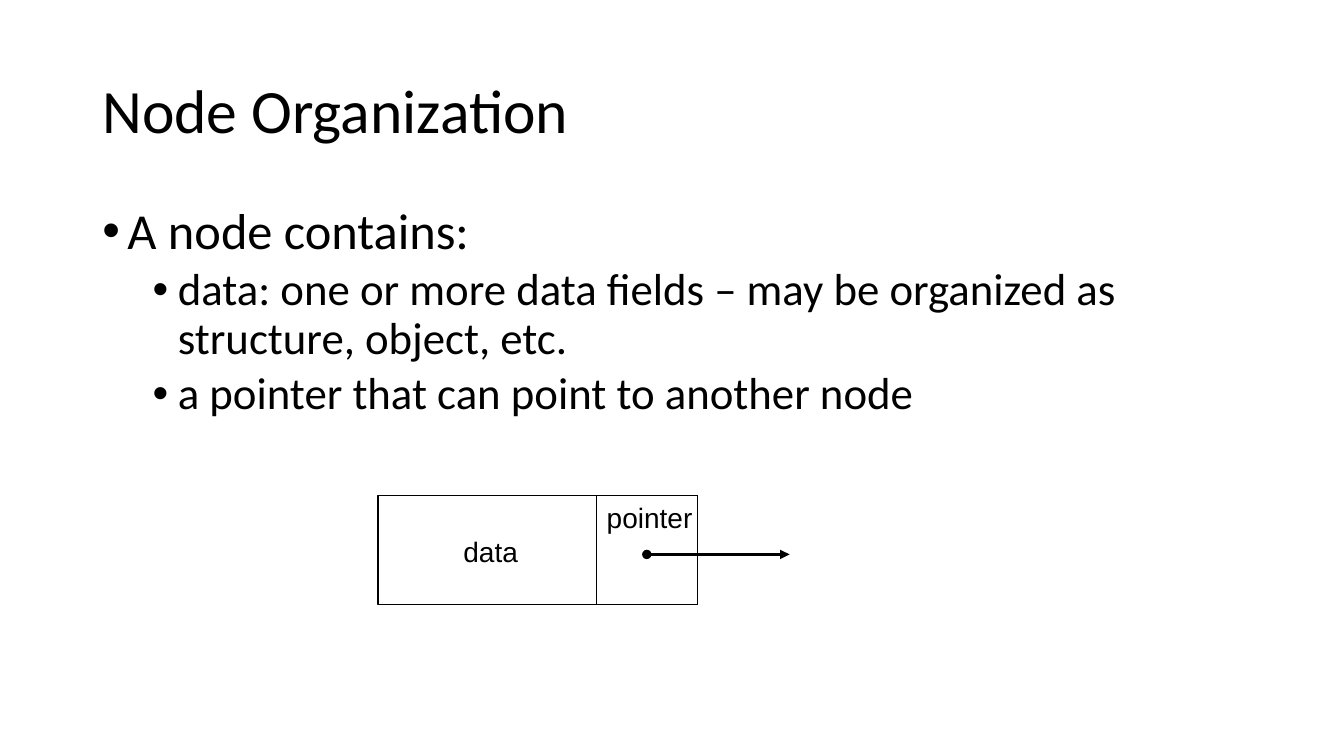
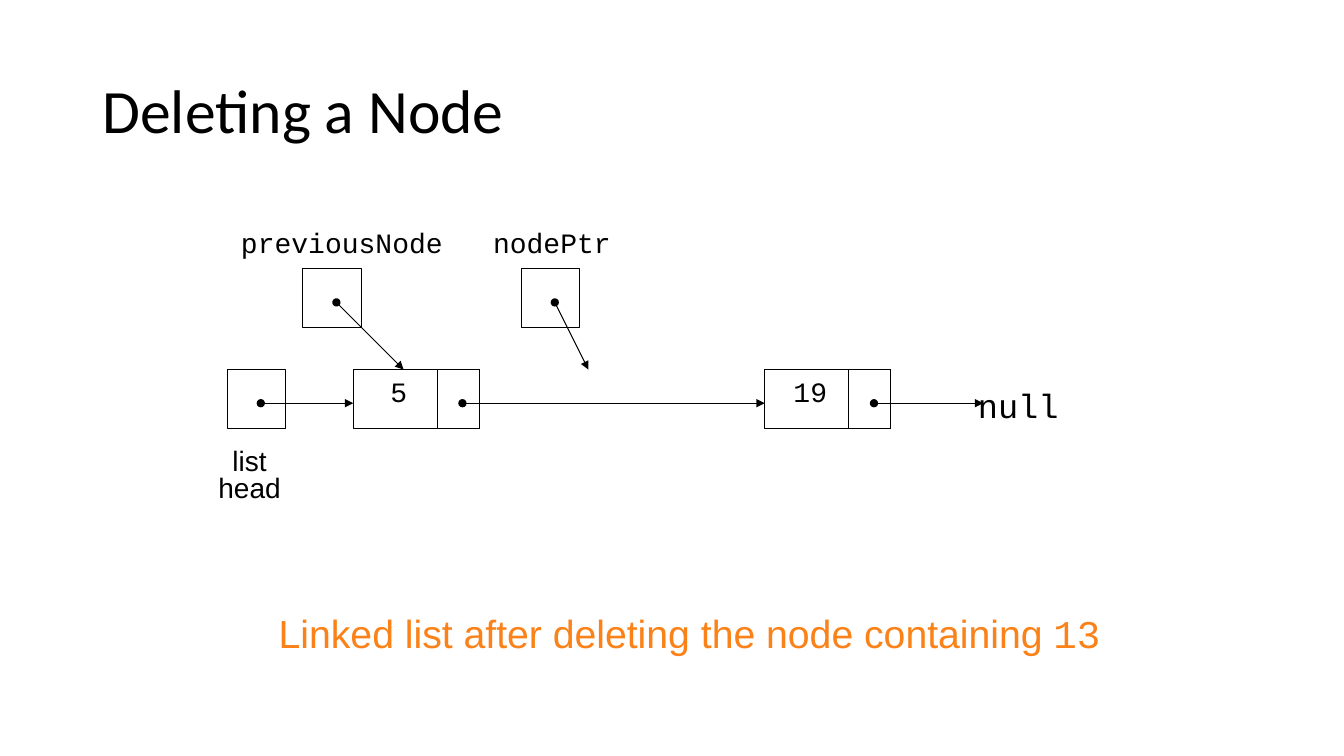
from dataclasses import dataclass

from lxml import etree
from pptx import Presentation
from pptx.dml.color import RGBColor
from pptx.enum.shapes import MSO_CONNECTOR, MSO_SHAPE
from pptx.enum.text import MSO_ANCHOR, MSO_AUTO_SIZE, PP_ALIGN
from pptx.oxml.ns import qn
from pptx.util import Pt

RECT = MSO_SHAPE.RECTANGLE
STRAIGHT = MSO_CONNECTOR.STRAIGHT
LEFT, CENTER = PP_ALIGN.LEFT, PP_ALIGN.CENTER
MIDDLE = MSO_ANCHOR.MIDDLE
NO_FIT, GROW = MSO_AUTO_SIZE.NONE, MSO_AUTO_SIZE.SHAPE_TO_FIT_TEXT
TITLE_ONLY = 5


@dataclass(frozen=True)
class Theme:
    ink: RGBColor = RGBColor(0, 0, 0)
    accent: RGBColor = RGBColor(0xFA, 0x82, 0x18)
    head_font: str = "Calibri"
    label_font: str = "Arial"
    code_font: str = "Courier New"
    title: int = 44
    body: tuple = (36, 32)
    caption: int = 28
    null: int = 24
    label: int = 20
    thin: float = 0.75
    thick: float = 2.25


T = Theme()


def write(p, text, font, size, color):
    """Add one run to a paragraph."""
    r = p.add_run()
    r.text = text
    r.font.name, r.font.size = font, Pt(size)
    r.font.color.rgb = color


def text_box(s, text, box, font=T.label_font, size=T.label, color=T.ink,
             align=CENTER, spacing=1.0):
    """Place unwrapped text, one paragraph per line."""
    tf = s.shapes.add_textbox(*map(Pt, box)).text_frame
    tf.word_wrap = False
    tf.auto_size = GROW
    for i, line in enumerate(text.split("\n")):
        p = tf.add_paragraph() if i else tf.paragraphs[0]
        p.alignment, p.line_spacing = align, spacing
        write(p, line, font, size, color)
    return tf


def cell(s, x, y, w, h):
    """Draw an outlined, unfilled box."""
    sp = s.shapes.add_shape(RECT, Pt(x), Pt(y), Pt(w), Pt(h))
    sp.shadow.inherit = False
    sp.fill.background()
    sp.line.color.rgb, sp.line.width = T.ink, Pt(T.thin)


def arrow(s, x, y, dx, dy=0, width=T.thin):
    """Draw a pointer with a dot at its start and an arrowhead at its end."""
    c = s.shapes.add_connector(STRAIGHT, Pt(x), Pt(y), Pt(x + dx), Pt(y + dy))
    c.line.color.rgb, c.line.width = T.ink, Pt(width)
    ln = c._element.spPr.find(qn("a:ln"))
    etree.SubElement(ln, qn("a:headEnd"), type="oval")
    etree.SubElement(ln, qn("a:tailEnd"), type="triangle")
    etree.SubElement(c._element.spPr, qn("a:effectLst"))


def titled_slide(prs, title):
    s = prs.slides.add_slide(prs.slide_layouts[TITLE_ONLY])
    sp = s.shapes.title
    sp.left, sp.top, sp.width, sp.height = Pt(66), Pt(29), Pt(828), Pt(104)
    tf = sp.text_frame
    tf.vertical_anchor = MIDDLE
    tf.auto_size = NO_FIT
    p = tf.paragraphs[0]
    p.alignment, p.line_spacing = LEFT, 0.9
    write(p, title, T.head_font, T.title, T.ink)
    return s


def bullet_list(s, items, box):
    """Place (level, text) items as a bulleted list."""
    tf = s.shapes.add_textbox(*map(Pt, box)).text_frame
    tf.word_wrap = True
    for i, (level, text) in enumerate(items):
        p = tf.add_paragraph() if i else tf.paragraphs[0]
        pPr = p._p.get_or_add_pPr()
        pPr.set("marL", str(Pt(18 + 36 * level)))
        pPr.set("indent", str(Pt(-18)))
        etree.SubElement(pPr, qn("a:buFont"), typeface="Arial")
        etree.SubElement(pPr, qn("a:buChar"), char="•")
        p.level, p.line_spacing = level, 0.9
        if i:
            p.space_before = Pt(5 if level else 10)
        write(p, text, T.head_font, T.body[level], T.ink)


def node_anatomy(s, x, y):
    """A single large node with labelled data and pointer parts."""
    w, h, split = 228, 78, 156
    cell(s, x, y, w, h)
    cell(s, x + split, y, w - split, h)
    text_box(s, "data", (x + 40, y + 24, 81, 31))
    text_box(s, "pointer", (x + split - 7, y, 90, 31))
    arrow(s, x + split + 36, y + 42, 102, width=T.thick)


def list_node(s, x, y, value, reach):
    """A value cell and a pointer cell with its outgoing arrow."""
    w, h, split = 90, 42, 60
    cell(s, x, y, w, h)
    cell(s, x + split, y, w - split, h)
    text_box(s, value, (x + 2, y, 61, 32), font=T.code_font)
    arrow(s, x + split + 18, y + 24, reach)


def pointer_cell(s, x, y, dx, dy=0):
    """A square variable holding a pointer."""
    cell(s, x, y, 42, 42)
    arrow(s, x + 24, y + 24, dx, dy)


def linked_list(s, x, y):
    """Two pointer variables above a row of linked nodes."""
    row = y + 102

    # Pointer variables
    for name, left, mid, dx in (("previousNode", 54, 82, 48),
                                ("nodePtr", 210, 232, 24)):
        text_box(s, name, (x + mid - 90, y, 180, 28),
                 font=T.code_font, spacing=0.8)
        pointer_cell(s, x + left, y + 30, dx, 48)

    # List head and nodes
    pointer_cell(s, x, row, 66)
    text_box(s, "list\nhead", (x - 24, row + 54, 80, 46), spacing=0.8)
    list_node(s, x + 90, row, "5", 216)
    list_node(s, x + 384, row, "19", 78)
    text_box(s, "null", (x + 520, row + 2, 90, 41), font=T.code_font,
             size=T.null, spacing=1.2)


def node_slide(prs):
    s = titled_slide(prs, "Node Organization")
    bullet_list(s, (
        (0, "A node contains:"),
        (1, "data: one or more data fields – may be organized as "
            "structure, object, etc."),
        (1, "a pointer that can point to another node"),
    ), (66, 143.5, 828, 343))
    node_anatomy(s, 270, 354)


def deletion_slide(prs):
    s = titled_slide(prs, "Deleting a Node")
    linked_list(s, 162.3, 162)
    tf = text_box(s, "Linked list after deleting the node containing ",
                  (192, 432, 609, 41), size=T.caption, color=T.accent,
                  align=LEFT)
    write(tf.paragraphs[0], "13", T.code_font, T.caption, T.accent)


def main():
    prs = Presentation()
    prs.slide_width, prs.slide_height = Pt(960), Pt(540)
    node_slide(prs)
    deletion_slide(prs)
    prs.save("out.pptx")


if __name__ == "__main__":
    main()
